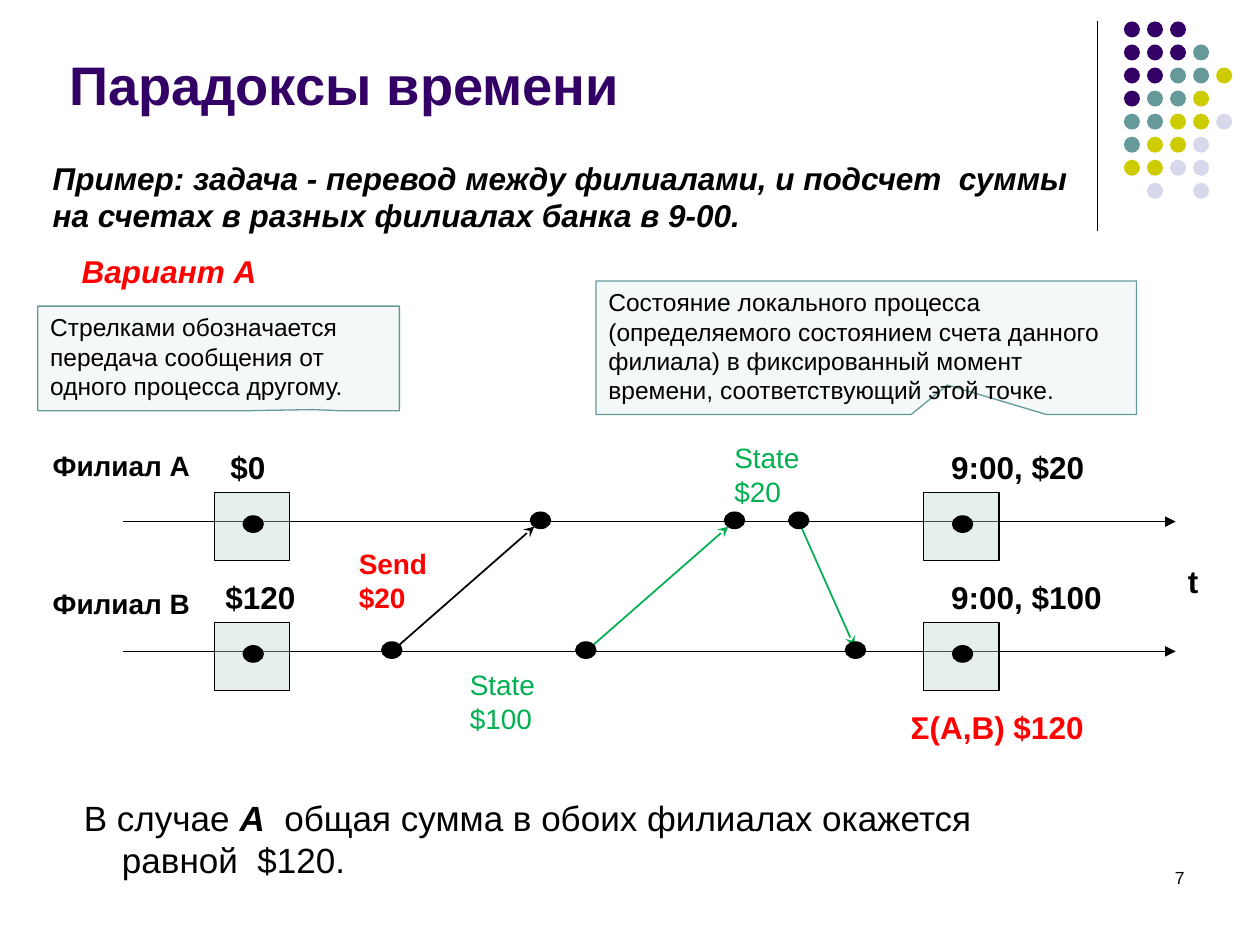
from pptx import Presentation
from pptx.dml.color import RGBColor as Rgb
from pptx.enum.shapes import MSO_CONNECTOR as Link, MSO_SHAPE as Form
from pptx.enum.text import MSO_ANCHOR as Anchor, PP_ALIGN as Align
from pptx.oxml.ns import qn
from pptx.util import Inches, Pt
from lxml.etree import SubElement as Sub

CELL = Inches(0.1)
COLS, ROWS = 100, 75
FONT = "Arial"
HUE = {
    "ink": "000000", "plum": "330066", "teal": "669999", "lime": "CCCC00",
    "mist": "D8D8EC", "red": "FF0000", "green": "00B050",
    "pale": "DDE9E9", "sage": "BCD2D2",
}
DOTS = ["ppp", "pppt", "ppttl", "pttl", "ttllm", "tllm", "llmm", " m m"]
KEY = {"p": "plum", "t": "teal", "l": "lime", "m": "mist"}


def grid(*nums):
    return [round(n * CELL) for n in nums]


def tint(name):
    return Rgb.from_string(HUE[name])


def style(para, size, hue="ink", bold=False, slant=False):
    font = para.font
    font.name, font.size = FONT, Pt(size)
    font.color.rgb = tint(hue)
    font.bold, font.italic = bold, slant


def text(page, box, words, size, hue="ink", bold=False, slant=False):
    frame = page.shapes.add_textbox(*grid(*box)).text_frame
    frame.word_wrap = True
    para = frame.paragraphs[0]
    para.text = words
    style(para, size, hue, bold, slant)
    return frame


def shape(page, form, box, fill, edge=None, alpha=None):
    item = page.shapes.add_shape(form, *grid(*box))
    item.shadow.inherit = False
    item.fill.solid()
    item.fill.fore_color.rgb = tint(fill)
    if alpha:
        hue = item.fill._xPr.find(qn("a:solidFill"))[0]
        Sub(hue, qn("a:alpha"), val=str(alpha * 1000))
    if edge:
        item.line.color.rgb = tint(edge)
        item.line.width = Pt(0.75)
    else:
        item.line.fill.background()
    return item


def line(page, ends, hue="ink", width=0.75, tip=None):
    item = page.shapes.add_connector(Link.STRAIGHT, *grid(*ends))
    item.line.color.rgb = tint(hue)
    item.line.width = Pt(width)
    if tip:
        Sub(item.line._get_or_add_ln(), qn("a:tailEnd"), type=tip)
    Sub(item._element.spPr, qn("a:effectLst"))


def badge(page, x, y, w, h):
    line(page, (x, y, x, y + h))
    step, size = 1.83, 1.27
    for row, marks in enumerate(DOTS):
        for col, mark in enumerate(marks):
            if mark in KEY:
                spot = (x + 2.1 + col * step, y + row * step, size, size)
                shape(page, Form.OVAL, spot, KEY[mark])


def head(page, x, y, w, h):
    title = text(page, (x + 1.3, y, w - 33, 5.4), "Парадоксы времени", 31, "plum", True)
    title.vertical_anchor = Anchor.BOTTOM
    text(page, (x, y + 7.8, w, 7),
         "Пример: задача - перевод между филиалами, и подсчет  суммы на счетах "
         "в разных филиалах банка в 9-00.", 18, bold=True, slant=True)
    text(page, (x + 2.3, y + 15.2, 16.3, 4), "Вариант А", 18, "red", True, True)


def note(page, box, words, tip):
    item = shape(page, Form.ROUNDED_RECTANGULAR_CALLOUT, box, "pale", "teal", 29)
    for spot, value in enumerate((*tip, 0)):
        item.adjustments[spot] = value
    frame = item.text_frame
    frame.word_wrap = True
    frame.vertical_anchor = Anchor.TOP
    para = frame.paragraphs[0]
    para.text = words
    para.alignment = Align.LEFT
    style(para, 14)


def notes(page, x, y, w, h):
    note(page, (x + 44.3, y, w - 44.3, h),
         "Состояние локального процесса (определяемого состоянием счета данного "
         "филиала) в фиксированный момент времени, соответствующий этой точке.",
         (0.15, 0.28))
    note(page, (x, y + 2, 28.7, 8.3),
         "Стрелками обозначается\nпередача сообщения от одного процесса другому.",
         (0.26, 0.49))


def dot(page, x, y):
    w, h = 1.6, 1.3
    shape(page, Form.OVAL, (x - w / 2, y - h / 2, w, h), "ink", "ink")


def chart(page, x, y, w, h):
    top, low = y + 6.9, y + 17.2
    rails = [
        (top, "Филиал А", 0.6, "$0", 14.3, "9:00, $20", 0.6),
        (low, "Филиал В", 11.6, "$120", 13.9, "9:00, $100", 10.9),
    ]
    for rail, name, drop, start, left, end, rise in rails:
        line(page, (x + 6.8, rail, x + w, rail), tip="triangle")
        text(page, (x + 0.2, y + drop, 13.8, 3.7), name, 16, bold=True)
        text(page, (x + left, y + rise, 11.8, 4), start, 18, bold=True)
        text(page, (x + 41.4 + w / 3, y + rise, 15.9, 4), end, 18, bold=True)
        for mid in (17, 73.3):
            shape(page, Form.RECTANGLE, (x + mid - 3, rail - 2.3, 6, 5.4),
                  "sage", "ink", 36)
            dot(page, x + mid + 0.1, rail + 0.2)

    sends = [(28.1, low, 39.9, top, "ink"), (43.5, low, 55.3, top, "green"),
             (60.4, top, 64.9, low, "green")]
    for left, start, right, end, hue in sends:
        gap = (-0.5, 0.4) if end == top else (-0.1, -0.4)
        line(page, (x + left, start, x + right + gap[0], end + gap[1]),
             hue, 1, "stealth")
        dot(page, x + left, start - 0.1)
        dot(page, x + right, end - 0.1)

    text(page, (x + 24.5, y + 8.4, 9.3, 6.4), "Send $20", 16, "red", True)
    text(page, (x + 33.3, y + 18, 9.8, 6.4), "State $100", 16, "green")
    text(page, (x + 54.3, y, 9.8, 6.4), "State $20", 16, "green")
    text(page, (x + w, y + 9.6, 3.5, 4), "t", 18, bold=True)
    text(page, (x + 68.3, y + 21.2, 16.3, 4), "Σ(A,B) $120", 18, "red", True)


def foot(page, x, y, w, h):
    frame = text(page, (x, y, 82.7, 4.7), "", 20)
    para = frame.paragraphs[0]
    props = para._p.get_or_add_pPr()
    props.set("marL", str(Inches(0.38)))
    props.set("indent", str(-Inches(0.38)))
    for words, strong in [
        (" В случае ", False), ("А", True),
        ("  общая сумма в обоих филиалах окажется равной  $120.", False),
    ]:
        run = para.add_run()
        run.text = words
        run.font.bold = run.font.italic = strong
    count = text(page, (x + w - 4.8, y + h - 5, 4.8, 5), "7", 10)
    count.paragraphs[0].alignment = Align.RIGHT


def main():
    deck = Presentation()
    deck.slide_width, deck.slide_height = grid(COLS, ROWS)
    page = deck.slides.add_slide(deck.slide_layouts[6])
    badge(page, 87.1, 1.7, 10.7, 16.6)
    head(page, 3.2, 4.3, 85.8, 19.2)
    notes(page, 3, 22.3, 87.2, 10.6)
    chart(page, 3, 34.5, 90.3, 25.2)
    foot(page, 4.9, 62.7, 90.1, 10.6)
    deck.save("out.pptx")


if __name__ == "__main__":
    main()
